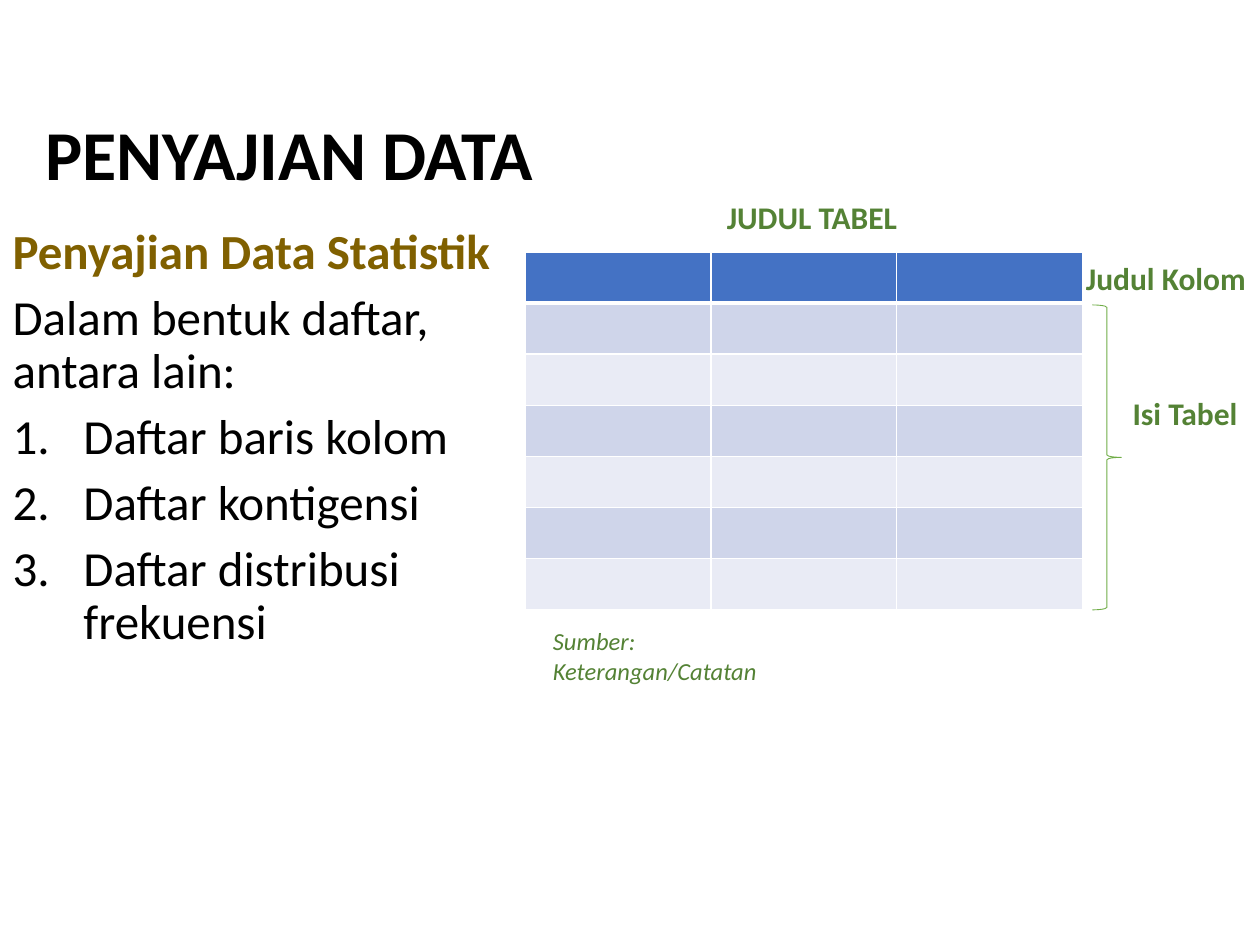
from dataclasses import dataclass

from lxml.etree import SubElement
from pptx import Presentation
from pptx.dml.color import RGBColor as Color
from pptx.enum.shapes import MSO_SHAPE as Shape
from pptx.enum.text import MSO_ANCHOR as Anchor, MSO_AUTO_SIZE as AutoSize, PP_ALIGN as Align
from pptx.oxml.ns import qn
from pptx.util import Pt


@dataclass(frozen=True)
class Theme:
    font: str = "Calibri"
    black: str = "000000"
    brown: str = "806000"
    green: str = "548235"
    brace: str = "70AD47"
    header: str = "4472C4"
    bands: tuple = ("CFD5EA", "E9EBF5")
    border: str = "FFFFFF"
    title_size: float = 40
    body_size: float = 28
    label_size: float = 18
    note_size: float = 14


@dataclass(frozen=True)
class Box:
    left: float
    top: float
    width: float
    height: float

    def lengths(self) -> tuple:
        return tuple(Pt(v) for v in (self.left, self.top, self.width, self.height))


@dataclass(frozen=True)
class Label:
    box: Box
    lines: tuple
    size: float
    bold: bool = False
    italic: bool = False


@dataclass(frozen=True)
class BodyLine:
    text: str
    color: str
    bold: bool = False
    numbered: bool = False


THEME = Theme()
ROWS, COLUMNS = 7, 3
TABLE_BOX = Box(300.24, 144, 318.24, 204.4)
TITLE_BOX = Box(18.75, 45.36, 648, 90)
BODY_BOX = Box(0, 126, 324, 356.4)
BRACE_BOX = Box(624.24, 174.24, 16.56, 174.24)
NUMBER_INDENT = 40.5

BODY_LINES = (
    BodyLine("Penyajian Data Statistik", THEME.brown, bold=True),
    BodyLine("Dalam bentuk daftar, antara lain:", THEME.black),
    BodyLine("Daftar baris kolom", THEME.black, numbered=True),
    BodyLine("Daftar kontigensi", THEME.black, numbered=True),
    BodyLine("Daftar distribusi frekuensi", THEME.black, numbered=True),
)
LABELS = (
    Label(Box(408.24, 109.44, 113.04, 28.8), ("JUDUL TABEL",), THEME.label_size, bold=True),
    Label(Box(613.44, 144.72, 106.56, 28.8), ("Judul Kolom",), THEME.label_size, bold=True),
    Label(Box(640.08, 221.76, 74.88, 28.8), ("Isi Tabel",), THEME.label_size, bold=True),
    Label(Box(308.88, 354.24, 132.48, 41.04), ("Sumber:", "Keterangan/Catatan"),
          THEME.note_size, italic=True),
)


def apply(target, values: dict) -> None:
    for name, value in values.items():
        setattr(target, name, value)


def place(shape, box: Box) -> None:
    apply(shape, dict(zip(("left", "top", "width", "height"), box.lengths())))


def add_span(para, text: str, size: float, color: str, bold=False, italic=False) -> None:
    span = para.add_run()
    span.text = text
    apply(span.font, {"name": THEME.font, "size": Pt(size), "bold": bold, "italic": italic})
    span.font.color.rgb = Color.from_string(color)


def next_para(frame, index: int):
    return frame.paragraphs[0] if index == 0 else frame.add_paragraph()


def fill_title(title) -> None:
    place(title, TITLE_BOX)
    apply(title.text_frame, {"vertical_anchor": Anchor.MIDDLE, "auto_size": AutoSize.NONE})
    para = title.text_frame.paragraphs[0]
    apply(para, {"alignment": Align.LEFT, "line_spacing": 0.9})
    add_span(para, "PENYAJIAN DATA", THEME.title_size, THEME.black, bold=True)


def set_numbering(para, numbered: bool) -> None:
    props = para._p.get_or_add_pPr()
    indent = Pt(NUMBER_INDENT) if numbered else 0
    props.set("marL", str(indent))
    props.set("indent", str(-indent))
    if numbered:
        SubElement(props, qn("a:buFont"), typeface="+mj-lt")
        SubElement(props, qn("a:buAutoNum"), type="arabicPeriod")
    else:
        SubElement(props, qn("a:buNone"))


def fill_body(body) -> None:
    place(body, BODY_BOX)
    body.text_frame.auto_size = AutoSize.NONE
    for index, line in enumerate(BODY_LINES):
        para = next_para(body.text_frame, index)
        apply(para, {"line_spacing": 0.9, "space_before": Pt(7.5)})
        set_numbering(para, line.numbered)
        add_span(para, line.text, THEME.body_size, line.color, line.bold)


def set_border(cell, side: str, width: float) -> None:
    line = SubElement(cell._tc.get_or_add_tcPr(), qn(f"a:ln{side}"), w=str(Pt(width)))
    fill = SubElement(line, qn("a:solidFill"))
    SubElement(fill, qn("a:srgbClr"), val=THEME.border)


def add_grid(page) -> None:
    table = page.shapes.add_table(ROWS, COLUMNS, *TABLE_BOX.lengths()).table
    for column in table.columns:
        column.width = Pt(TABLE_BOX.width / COLUMNS)
    for index, row in enumerate(table.rows):
        row.height = Pt(TABLE_BOX.height / ROWS)
        color = THEME.bands[(index - 1) % 2] if index else THEME.header
        for cell in row.cells:
            # The header is parted from the rows by a thicker line
            widths = {"L": 1, "R": 1, "T": 3 if index == 1 else 1, "B": 1 if index else 3}
            for side, width in widths.items():
                set_border(cell, side, width)
            cell.fill.solid()
            cell.fill.fore_color.rgb = Color.from_string(color)


def add_label(page, label: Label) -> None:
    frame = page.shapes.add_textbox(*label.box.lengths()).text_frame
    apply(frame, {"word_wrap": False, "auto_size": AutoSize.SHAPE_TO_FIT_TEXT})
    for index, text in enumerate(label.lines):
        add_span(next_para(frame, index), text, label.size, THEME.green,
                 label.bold, label.italic)


def add_brace(page) -> None:
    brace = page.shapes.add_shape(Shape.RIGHT_BRACE, *BRACE_BOX.lengths())
    brace.shadow.inherit = False
    brace.fill.background()
    brace.line.color.rgb = Color.from_string(THEME.brace)
    brace.line.width = Pt(0.5)


def main() -> None:
    deck = Presentation()
    apply(deck, {"slide_width": Pt(720), "slide_height": Pt(540)})
    page = deck.slides.add_slide(deck.slide_layouts[1])

    # Title and list
    fill_title(page.shapes.title)
    fill_body(page.placeholders[1])

    # Sample table with its annotations
    add_grid(page)
    for label in LABELS:
        add_label(page, label)
    add_brace(page)

    deck.save("out.pptx")


if __name__ == "__main__":
    main()
